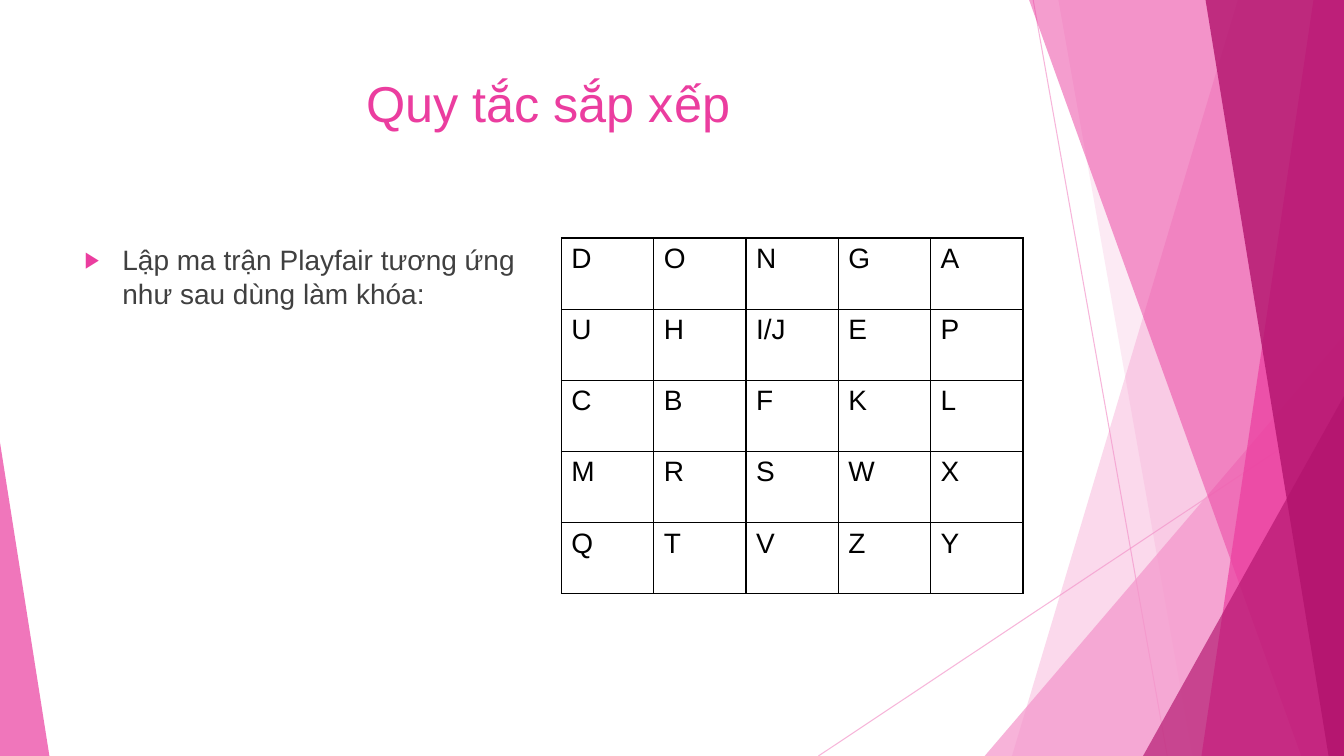
"""Build a slide showing the Playfair key matrix beside its explanation."""
from lxml import etree
from pptx import Presentation
from pptx.dml.color import RGBColor
from pptx.enum.shapes import MSO_CONNECTOR, MSO_SHAPE
from pptx.enum.text import PP_ALIGN
from pptx.oxml.ns import qn
from pptx.util import Pt

STRAIGHT = MSO_CONNECTOR.STRAIGHT
TRIANGLE = MSO_SHAPE.ISOSCELES_TRIANGLE
CENTER = PP_ALIGN.CENTER
LIGHT_PINK = RGBColor(0xF4, 0x96, 0xCB)
PINK = RGBColor(0xEB, 0x3D, 0x9F)
MAGENTA = RGBColor(0xB2, 0x13, 0x6D)
GRAY = RGBColor(0x40, 0x40, 0x40)
BLACK = RGBColor(0, 0, 0)
WIDTH, HEIGHT = 960, 540
MATRIX = ["D O N G A", "U H I/J E P", "C B F K L", "M R S W X", "Q T V Z Y"]
RAYS = [(738, 0, 833.8, 540), (960, 290.2, 584.6, 540)]
BAND, WEDGE = "band", "wedge"
FACETS = [
    (BAND, (884.2, 722.9), LIGHT_PINK, 36),
    (BAND, (756, 851.8), LIGHT_PINK, 20),
    (WEDGE, (703.4, 239.8, 256.6, 1), LIGHT_PINK, 72),
    (BAND, (735.1, 929.5), PINK, 50),
    (BAND, (938.2, 858.2), PINK, 70),
    (BAND, (861.1, 949), MAGENTA, 80),
    (WEDGE, (816.5, 283, 143.5, 1), MAGENTA, 66),
    (WEDGE, (0, 316.1, 35.3, 0), PINK, 70),
]


def paint(fill, color, alpha):
    """Fill with a colour at the given opacity in percent."""
    fill.solid()
    fill.fore_color.rgb = color
    clr = fill._xPr.find(qn("a:solidFill"))[0]
    etree.SubElement(clr, qn("a:alpha"), val=str(alpha * 1000))


def write(tf, text, size, color):
    """Put one styled paragraph in a text frame and return it."""
    tf.word_wrap = True
    tf.text = text
    p = tf.paragraphs[0]
    font = p.runs[0].font
    font.name, font.size, font.color.rgb = "Arial", Pt(size), color
    return p


prs = Presentation()
prs.slide_width, prs.slide_height = Pt(WIDTH), Pt(HEIGHT)
s = prs.slides.add_slide(prs.slide_layouts[6])

for ray in RAYS:
    line = s.shapes.add_connector(STRAIGHT, *[Pt(v) for v in ray])
    line.line.width = Pt(0.75)
    paint(line.line.fill, LIGHT_PINK, 70)
    etree.SubElement(line._element.spPr, qn("a:effectLst"))

for kind, geometry, color, alpha in FACETS:
    if kind == BAND:
        top_x, bottom_x = geometry
        outline = s.shapes.build_freeform(Pt(top_x), 0)
        corners = [(WIDTH, 0), (WIDTH, HEIGHT), (bottom_x, HEIGHT)]
        outline.add_line_segments([(Pt(x), Pt(y)) for x, y in corners])
        sp = outline.convert_to_shape()
    else:
        left, top, width, apex = geometry
        sp = s.shapes.add_shape(TRIANGLE, Pt(left), Pt(top), Pt(width), Pt(HEIGHT - top))
        sp.adjustments[0] = apex
    paint(sp.fill, color, alpha)
    sp.line.fill.background()
    sp.shadow.inherit = False

title = s.shapes.add_textbox(Pt(53.3), Pt(48), Pt(676.8), Pt(104))
p = write(title.text_frame, "Quy tắc sắp xếp", 36, PINK)
p.alignment = CENTER

body = s.shapes.add_textbox(Pt(53.3), Pt(170), Pt(329.8), Pt(305.3))
p = write(body.text_frame, "Lập ma trận Playfair tương ứng như sau dùng làm khóa:", 20, GRAY)
p.space_before = Pt(10)
pPr = p._p.get_or_add_pPr()
pPr.set("marL", str(Pt(27)))
pPr.set("indent", str(-Pt(27)))
bullet_color = etree.SubElement(pPr, qn("a:buClr"))
etree.SubElement(bullet_color, qn("a:srgbClr"), val=str(PINK))
etree.SubElement(pPr, qn("a:buSzPct"), val="80000")
etree.SubElement(pPr, qn("a:buFont"), typeface="Arial")
etree.SubElement(pPr, qn("a:buChar"), char="▶")

rows = [row.split() for row in MATRIX]
frame = s.shapes.add_table(len(rows), len(rows[0]), Pt(401), Pt(170), Pt(329.75), Pt(254.25))
table = frame.table
table.first_row = table.horz_banding = False
for r, letters in enumerate(rows):
    for c, letter in enumerate(letters):
        cell = table.cell(r, c)
        write(cell.text_frame, letter, 20, BLACK)
        tcPr = cell._tc.get_or_add_tcPr()
        for side in ("a:lnL", "a:lnR", "a:lnT", "a:lnB"):
            border = etree.SubElement(tcPr, qn(side), w=str(Pt(1)))
            solid = etree.SubElement(border, qn("a:solidFill"))
            etree.SubElement(solid, qn("a:srgbClr"), val=str(BLACK))
        cell.fill.background()

prs.save("out.pptx")
